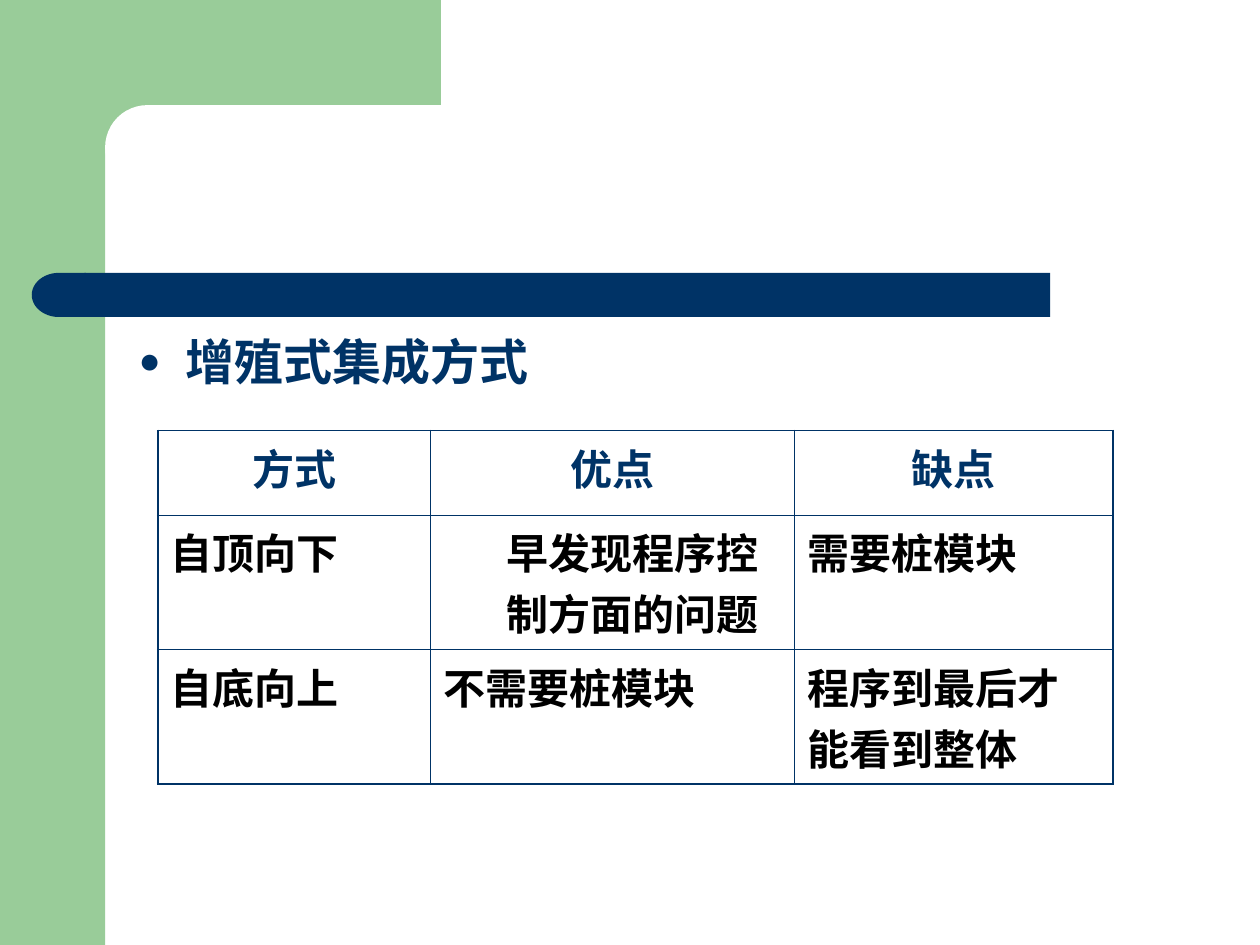
from lxml.etree import SubElement
from pptx import Presentation
from pptx.dml.color import RGBColor
from pptx.enum.shapes import MSO_SHAPE
from pptx.enum.text import MSO_ANCHOR, PP_ALIGN
from pptx.oxml.ns import qn
from pptx.util import Cm, Pt

NAVY, GREEN, WHITE, BLACK = "003366", "99CC99", "FFFFFF", "000000"
HEADER = ["方式", "优点", "缺点"]
ROWS = [
    ["自顶向下", "早发现程序控制方面的问题", "需要桩模块"],
    ["自底向上", "不需要桩模块", "程序到最后才能看到整体"],
]
COLUMN_WIDTHS = [5.5, 7.34, 6.42]
ROW_HEIGHTS = [1.7, 2.29, 2.29]


def color(value):
    """Turn a hex string into a colour."""
    return RGBColor.from_string(value)


def add_block(page, kind, left, top, width, height, fill):
    """Add a flat shape without outline or shadow, measured in centimetres."""
    block = page.shapes.add_shape(kind, Cm(left), Cm(top), Cm(width), Cm(height))
    block.fill.solid()
    block.fill.fore_color.rgb = color(fill)
    block.line.fill.background()
    block.shadow.inherit = False
    return block


def add_text(para, text, size, fill):
    """Add one bold run to a paragraph."""
    span = para.add_run()
    span.text = text
    span.font.name = "Arial"
    span.font.size = Pt(size)
    span.font.bold = True
    span.font.color.rgb = color(fill)


def draw_frame(page, left, top, height):
    """Draw the green side and top bands with the rounded inner corner."""
    side, band = 2.12, 2.97
    add_block(page, MSO_SHAPE.RECTANGLE, left, top, side, height, GREEN)
    add_block(page, MSO_SHAPE.RECTANGLE, left + 1.9, top, 6.99, band, GREEN)
    corner = add_block(page, MSO_SHAPE.ROUNDED_RECTANGLE,
                       left + side, top + side, 14.18, 1.7, WHITE)
    corner.adjustments[0] = 0.5


def draw_bar(page, left, top, width, height):
    """Draw the navy bar with its rounded left end."""
    cap = 1.09
    add_block(page, MSO_SHAPE.RECTANGLE, left + cap - 0.03, top,
              width - cap + 0.03, height, NAVY)
    end = add_block(page, MSO_SHAPE.FLOWCHART_DELAY, left, top, cap, height, NAVY)
    end.rotation = 180


def fill_body(box, left, top, width, height):
    """Place the body placeholder and write its bulleted heading."""
    box.left, box.top, box.width, box.height = map(Cm, (left, top, width, height))
    box.text_frame.vertical_anchor = MSO_ANCHOR.TOP
    para = box.text_frame.paragraphs[0]
    para.space_before = Pt(7)
    add_text(para, "增殖式集成方式", 28, NAVY)
    properties = para._p.get_or_add_pPr()
    properties.set("marL", str(Cm(0.95)))
    properties.set("indent", str(-Cm(0.95)))
    SubElement(SubElement(properties, qn("a:buClr")), qn("a:srgbClr"), val=NAVY)
    SubElement(properties, qn("a:buSzPct"), val="75000")
    SubElement(properties, qn("a:buFont"), typeface="Arial")
    SubElement(properties, qn("a:buChar"), char="●")


def set_borders(cell, outer_sides):
    """Draw all four cell borders, thicker on the outer sides."""
    properties = cell._tc.get_or_add_tcPr()
    for side in "LRTB":
        width = Pt(1.08 if side in outer_sides else 0.45)
        line = SubElement(properties, qn(f"a:ln{side}"), w=str(width))
        SubElement(SubElement(line, qn("a:solidFill")), qn("a:srgbClr"), val=NAVY)


def add_comparison(page, left, top):
    """Add the table that compares the two integration methods."""
    records = [HEADER] + ROWS
    frame = page.shapes.add_table(
        len(records), len(HEADER), Cm(left), Cm(top),
        Cm(sum(COLUMN_WIDTHS)), Cm(sum(ROW_HEIGHTS)))
    table = frame.table
    table.first_row = table.horz_banding = False
    for column, width in zip(table.columns, COLUMN_WIDTHS):
        column.width = Cm(width)
    last_row, last_column = len(records) - 1, len(HEADER) - 1
    for i, record in enumerate(records):
        table.rows[i].height = Cm(ROW_HEIGHTS[i])
        for j, text in enumerate(record):
            cell = table.cell(i, j)
            edges = {"L": j == 0, "R": j == last_column,
                     "T": i == 0, "B": i == last_row}
            set_borders(cell, [side for side, outer in edges.items() if outer])
            cell.fill.background()
            para = cell.text_frame.paragraphs[0]
            para.space_before = Pt(6)
            para.alignment = PP_ALIGN.CENTER if i == 0 else PP_ALIGN.LEFT
            add_text(para, text, 24, NAVY if i == 0 else BLACK)
    indented = table.cell(1, 1).text_frame.paragraphs[0]
    indented.level = 1
    indented._p.get_or_add_pPr().set("marL", str(Cm(1.27)))


def main():
    """Build the slide and save the deck."""
    deck = Presentation()
    deck.slide_width, deck.slide_height = Cm(25.4), Cm(19.05)
    page = deck.slides.add_slide(deck.slide_layouts[1])
    page.background.fill.solid()
    page.background.fill.fore_color.rgb = color(WHITE)
    title = page.shapes.title
    title.element.getparent().remove(title.element)
    draw_frame(page, 0, 0, 19.05)
    draw_bar(page, 0.64, 5.5, 20.53, 0.89)
    body = page.placeholders[1]
    fill_body(body, 2.54, 6.56, 22.23, 10.37)
    page.shapes._spTree.append(body.element)
    add_comparison(page, 3.18, 8.68)
    deck.save("out.pptx")


if __name__ == "__main__":
    main()
